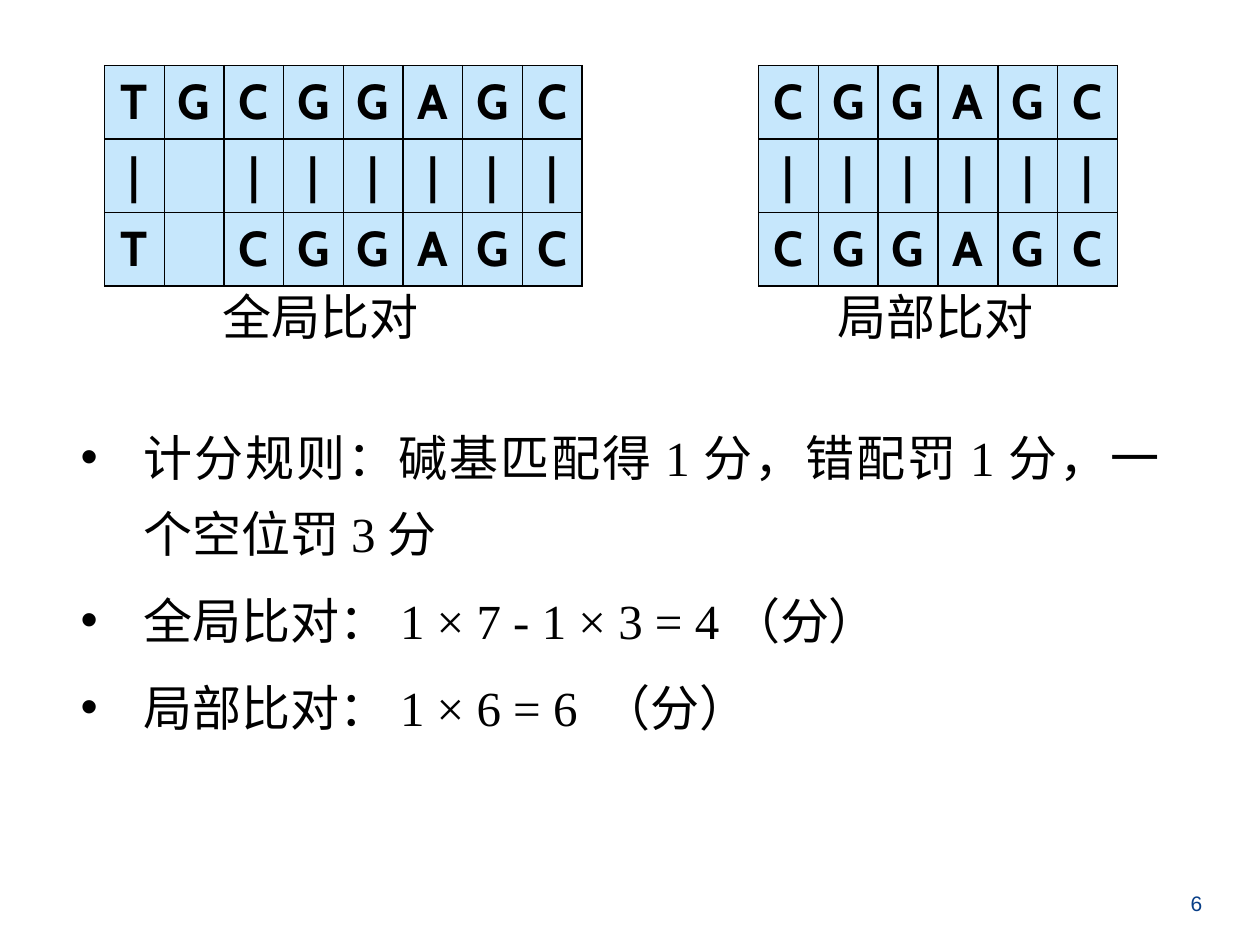
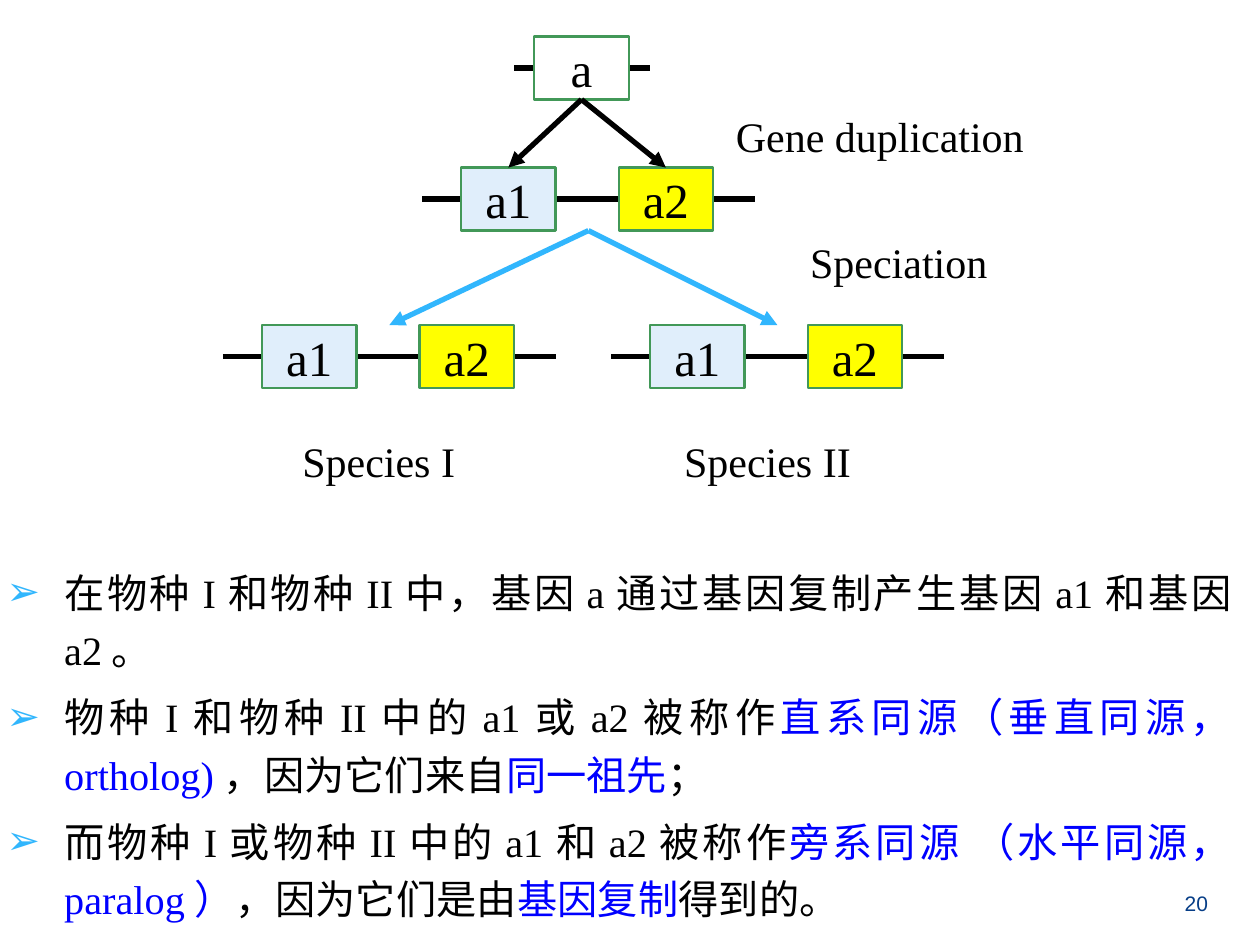
"""Build two slides on sequence alignment and gene homology."""
from dataclasses import dataclass
from itertools import groupby

from lxml import etree
from pptx import Presentation
from pptx.dml.color import RGBColor
from pptx.enum.shapes import MSO_CONNECTOR, MSO_SHAPE
from pptx.enum.text import MSO_ANCHOR, MSO_AUTO_SIZE, PP_ALIGN
from pptx.oxml.ns import qn
from pptx.util import Inches, Pt

LEFT, MID, JUST = PP_ALIGN.LEFT, PP_ALIGN.CENTER, PP_ALIGN.JUSTIFY
TOP, CORE = MSO_ANCHOR.TOP, MSO_ANCHOR.MIDDLE
FIXED = MSO_AUTO_SIZE.NONE
RECT, ROUND = MSO_SHAPE.RECTANGLE, MSO_SHAPE.ROUNDED_RECTANGLE
STRAIGHT = MSO_CONNECTOR.STRAIGHT

COLS, ROWS = 100, 75
WIDE, HIGH = Inches(10), Inches(7.5)
SERIF, SANS, HAN, BASE = "Times New Roman", "Arial", "Noto Sans CJK SC", "Cabin"
BLACK, WHITE, BLUE, NAVY = "000000", "FFFFFF", "0000FF", "073E87"
SKY, PALE, ICE, GOLD, GREEN = "31B6FD", "E0EEFB", "C6E7FC", "FFFF00", "429858"
TINTS = {"a": WHITE, "a1": PALE, "a2": GOLD}
PAD = Inches(0.05)
GENE_W, GENE_H, GENE_STEP = 7.5, 5, 12.5
BASE_W, BASE_H = 4.7, 5.83

RULES = """计分规则：碱基匹配得1分，错配罚1分，一个空位罚3分
全局比对：1 × 7 - 1 × 3 = 4（分）
局部比对：1 × 6 = 6 （分）"""
NOTES = """在物种I和物种II中，基因a通过基因复制产生基因a1和基因a2。
物种I和物种II中的a1或a2被称作*直系同源（垂直同源，ortholog)*，因为它们来自*同一祖先*；
而物种I或物种II中的a1和a2被称作*旁系同源 （水平同源，paralog）*，因为它们是由*基因复制*得到的。"""


@dataclass
class Box:
    """A place on the grid of columns and rows."""
    x: float
    y: float
    w: float
    h: float

    def emu(self) -> tuple:
        """Return left, top, width and height as lengths."""
        return across(self.x), down(self.y), across(self.w), down(self.h)


@dataclass
class Match:
    """Two aligned sequences, with spaces for gaps, and a caption."""
    x: float
    top: str
    low: str
    name: str
    name_x: float


@dataclass
class Strand:
    """A line of DNA that carries genes."""
    x: float
    y: float
    span: float
    inset: float
    genes: tuple

    @property
    def mid(self) -> float:
        """Return the middle column."""
        return self.x + self.span / 2


@dataclass
class Label:
    """A line of text at a place."""
    text: str
    box: Box


MATCHES = (Match(8.3, "TGCGGAGC", "T CGGAGC", "全局比对", 11.4),
           Match(60.2, "CGGAGC", "CGGAGC", "局部比对", 60.2))
ROOT = Strand(40.8, 2.9, 10.8, 1.6, ("a",))
PAIR = Strand(33.5, 13.3, 26.4, 3.1, ("a1", "a2"))
KIN = tuple(Strand(x, 25.8, 26.4, 3.1, ("a1", "a2")) for x in (17.7, 48.5))
LABELS = (Label("Gene duplication", Box(57.9, 8.3, 27.3, 4.6)),
          Label("Speciation", Box(63.8, 18.3, 18.2, 4.6)),
          Label("Species I", Box(23.5, 34.1, 15.1, 4.6)),
          Label("Species II", Box(53.8, 34.1, 16.4, 4.6)))


def across(cols: float) -> int:
    """Turn columns into a length."""
    return round(WIDE * cols / COLS)


def down(rows: float) -> int:
    """Turn rows into a length."""
    return round(HIGH * rows / ROWS)


def paint(form, tint: str) -> None:
    """Set a solid colour on a fill."""
    form.solid()
    form.fore_color.rgb = RGBColor.from_string(tint)


def sub(node, tag: str, **attrs):
    """Append an XML child and return it."""
    return etree.SubElement(node, qn(tag), attrs)


def fit(host, pad: int = PAD, anchor=TOP) -> None:
    """Set the margins and anchor of a frame or cell."""
    host.margin_left = host.margin_right = pad
    host.margin_top = host.margin_bottom = pad
    host.vertical_anchor = anchor


def split(text: str, mixed: bool):
    """Yield text parts, each with its mark and its script."""
    for i, part in enumerate(text.split("*")):
        for latin, chars in groupby(part, lambda c: not mixed or c.isascii() and c != " "):
            yield "".join(chars), i % 2 == 1, latin


def write(frame, text: str, *, size: float = 28, font: str = SERIF, tint: str = BLACK,
          bold: bool = False, align=LEFT, mixed: bool = False, lead: float = 1,
          gap: float = 0, sign: str = "", sign_tint: str = BLACK, hang: float = 0) -> None:
    """Write paragraphs, with starred parts in blue and optional bullets."""
    for i, line in enumerate(text.split("\n")):
        para = frame.add_paragraph() if i else frame.paragraphs[0]
        para.alignment, para.line_spacing, para.space_before = align, lead, Pt(gap)
        if sign:
            props = para._p.get_or_add_pPr()
            props.set("marL", str(across(hang)))
            props.set("indent", str(-across(hang)))
            sub(sub(props, "a:buClr"), "a:srgbClr", val=sign_tint)
            sub(props, "a:buFont", typeface=SANS)
            sub(props, "a:buChar", char=sign)
        for part, mark, latin in split(line, mixed):
            run = para.add_run()
            run.text = part
            run.font.size, run.font.bold = Pt(size), bold
            run.font.name = font if latin else HAN
            run.font.color.rgb = RGBColor.from_string(BLUE if mark else tint)
            sub(run._r.get_or_add_rPr(), "a:ea", typeface=HAN)


def label(slide, box: Box, text: str, *, pad: int = PAD, anchor=TOP,
          wrap: bool = True, **style) -> None:
    """Add a text box."""
    frame = slide.shapes.add_textbox(*box.emu()).text_frame
    frame.word_wrap = wrap
    fit(frame, pad, anchor)
    write(frame, text, **style)


def block(slide, kind, box: Box, fill: str, edge: str):
    """Add a flat shape with a thin outline."""
    shape = slide.shapes.add_shape(kind, *box.emu())
    shape.shadow.inherit = False
    paint(shape.fill, fill)
    paint(shape.line.fill, edge)
    shape.line.width = Pt(1.25)
    return shape


def link(slide, x: float, y: float, x2: float, y2: float, *,
         tint: str = BLACK, arrow: bool = False):
    """Add a straight line or arrow."""
    line = slide.shapes.add_connector(STRAIGHT, across(x), down(y), across(x2), down(y2))
    paint(line.line.fill, tint)
    line.line.width = Pt(3)
    if arrow:
        sub(line.line._get_or_add_ln(), "a:tailEnd", type="triangle")
    sub(line.element.spPr, "a:effectLst")
    return line


def frame_in(deck, layout) -> None:
    """Put the shared white panel behind everything on the layout."""
    panel = block(deck.slides[0], ROUND, Box(4.5, 4.4, 91.3, 68.5), WHITE, WHITE)
    panel.adjustments[0] = 0.06
    layout.shapes.element.insert(2, panel.element)


def start(deck, layout, page: int, box: Box, text: str, **style):
    """Add a slide with its list and page number."""
    slide = deck.slides.add_slide(layout)
    title = slide.shapes.title.element
    title.getparent().remove(title)
    body = slide.placeholders[1]
    body.left, body.top, body.width, body.height = box.emu()
    body.text_frame.auto_size = FIXED
    fit(body.text_frame)
    write(body.text_frame, text, align=JUST, **style)
    label(slide, Box(93.5, 70.2, 2.9, 2.9), str(page), anchor=CORE, wrap=False,
          size=12, font=SANS, tint=NAVY, align=MID)
    return slide


def edge(cell) -> None:
    """Give a cell black borders."""
    props = cell._tc.get_or_add_tcPr()
    for i, side in enumerate("LRTB"):
        line = etree.Element(qn(f"a:ln{side}"), w=str(Pt(1)))
        sub(sub(line, "a:solidFill"), "a:srgbClr", val=BLACK)
        props.insert(i, line)


def align(slide, match: Match) -> None:
    """Draw an alignment as a table with its caption."""
    bars = "".join("|" if a == b else " " for a, b in zip(match.top, match.low))
    rows = (match.top, bars, match.low)
    size = len(match.top)
    box = Box(match.x, 5.2, BASE_W * size + 0.3, BASE_H * len(rows))
    grid = slide.shapes.add_table(len(rows), size, *box.emu()).table
    grid.first_row = grid.horz_banding = False
    for r, row in enumerate(rows):
        for c, base in enumerate(row):
            cell = grid.cell(r, c)
            fit(cell, anchor=CORE)
            paint(cell.fill, ICE)
            edge(cell)
            write(cell.text_frame, base.strip(), font=BASE, bold=True, align=MID)
    label(slide, Box(match.name_x, 22.7, 28.1, 5.2), match.name, pad=0, align=MID)


def draw(slide, strand: Strand) -> list:
    """Draw a strand and return its gene boxes."""
    mid = strand.y + GENE_H / 2
    link(slide, strand.x, mid, strand.x + strand.span, mid)
    genes = []
    for i, name in enumerate(strand.genes):
        box = Box(strand.x + strand.inset + i * GENE_STEP, strand.y, GENE_W, GENE_H)
        gene = block(slide, RECT, box, TINTS[name], GREEN)
        fit(gene.text_frame, anchor=CORE)
        write(gene.text_frame, name, align=MID)
        genes.append(gene)
    return genes


def tree(slide) -> None:
    """Draw the gene tree with its arrows and labels."""
    root, = draw(slide, ROOT)
    for gene in draw(slide, PAIR):
        line = link(slide, 0, 0, 1, 1, arrow=True)
        line.begin_connect(root, 2)
        line.end_connect(gene, 0)
    for strand in KIN:
        draw(slide, strand)
        link(slide, PAIR.mid, PAIR.y + GENE_H, strand.mid, strand.y, tint=SKY, arrow=True)
    for item in LABELS:
        label(slide, item.box, item.text, size=24)


def main() -> None:
    """Build and save the deck."""
    deck = Presentation()
    deck.slide_width, deck.slide_height = WIDE, HIGH
    layout = deck.slide_layouts[1]
    slide = start(deck, layout, 6, Box(5.9, 32, 86.6, 28.4), RULES,
                  lead=1.3, gap=6, sign="•", hang=5)
    frame_in(deck, layout)
    for match in MATCHES:
        align(slide, match)
    slide = start(deck, layout, 20, Box(0, 43.8, 99, 29.3), NOTES, size=23, mixed=True,
                  lead=1.2, gap=5, sign="➢", sign_tint=SKY, hang=4.6)
    tree(slide)
    deck.save("out.pptx")


if __name__ == "__main__":
    main()
